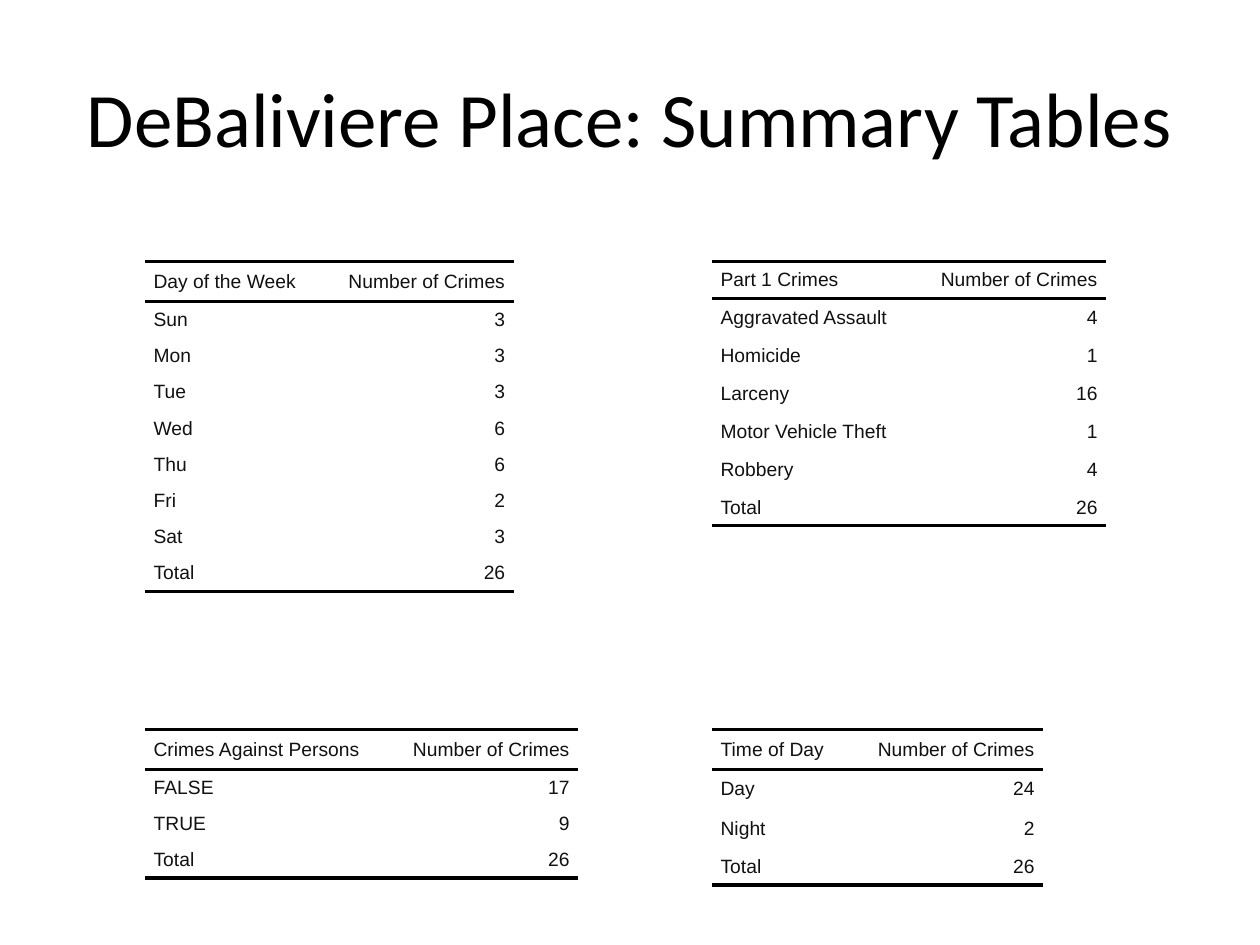
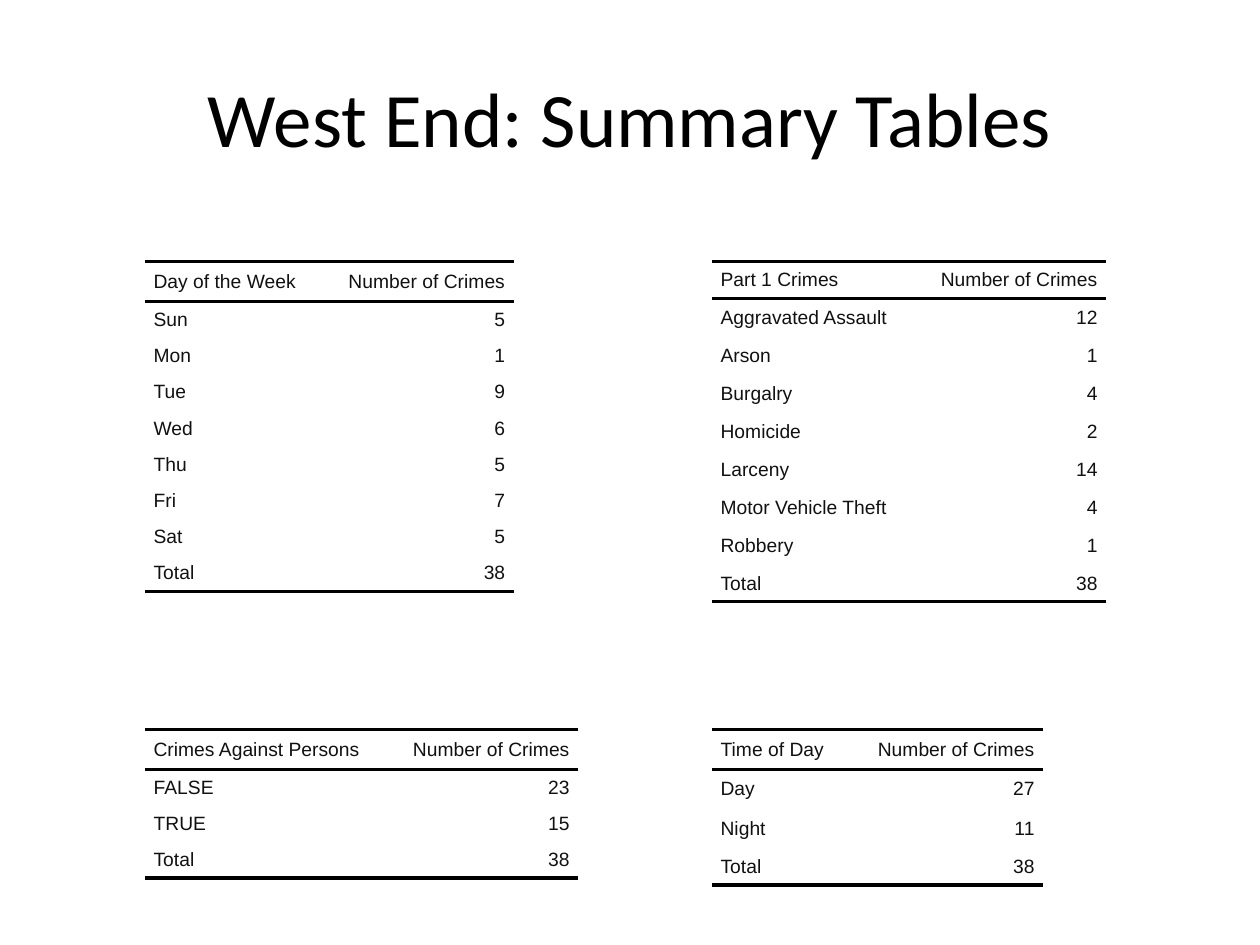
from lxml.etree import SubElement
from pptx import Presentation
from pptx.dml.color import RGBColor
from pptx.enum.text import MSO_ANCHOR, PP_ALIGN
from pptx.oxml.ns import qn
from pptx.util import Cm, Pt

DAYS = ("Sun", "Mon", "Tue", "Wed", "Thu", "Fri", "Sat")
COUNT_HEADING = "Number of Crimes"
SLIDES = [
    {
        "title": "DeBaliviere Place: Summary Tables",
        "Part 1 Crimes": [
            ("Aggravated Assault", 4),
            ("Homicide", 1),
            ("Larceny", 16),
            ("Motor Vehicle Theft", 1),
            ("Robbery", 4),
        ],
        "Day of the Week": list(zip(DAYS, (3, 3, 3, 6, 6, 2, 3))),
        "Crimes Against Persons": [("FALSE", 17), ("TRUE", 9)],
        "Time of Day": [("Day", 24), ("Night", 2)],
    },
    {
        "title": "West End: Summary Tables",
        "Part 1 Crimes": [
            ("Aggravated Assault", 12),
            ("Arson", 1),
            ("Burgalry", 4),
            ("Homicide", 2),
            ("Larceny", 14),
            ("Motor Vehicle Theft", 4),
            ("Robbery", 1),
        ],
        "Day of the Week": list(zip(DAYS, (5, 1, 9, 6, 5, 7, 5))),
        "Crimes Against Persons": [("FALSE", 23), ("TRUE", 15)],
        "Time of Day": [("Day", 27), ("Night", 11)],
    },
]

BLACK, TEXT = "000000", "111111"
LEFT, RIGHT = Cm(2.92), Cm(14.35)
TOP, BOTTOM = Cm(5.28), Cm(14.71)
COUNT_WIDTH = Cm(3.86)
LOW, HIGH = Cm(0.73), Cm(0.8)
NO_STYLE = "{2D5ABB26-0587-4C30-8999-92F81FD0307C}"


def alternating(index, count):
    return HIGH if index % 2 else LOW


def tall_header(index, count):
    return HIGH if index == 0 else LOW


def low_total(index, count):
    return LOW if index == count - 1 else HIGH


TABLES = {
    "Part 1 Crimes": (RIGHT, TOP, Cm(4.09), alternating),
    "Day of the Week": (LEFT, TOP, Cm(3.58), tall_header),
    "Crimes Against Persons": (LEFT, BOTTOM, Cm(4.88), tall_header),
    "Time of Day": (RIGHT, BOTTOM, Cm(2.82), low_total),
}


def color(value):
    return RGBColor.from_string(value)


def format_font(paragraph, name, size, value):
    font = paragraph.runs[0].font
    font.name, font.size = name, Pt(size)
    font.color.rgb = color(value)


def add_title(slide, text):
    shape = slide.shapes.add_textbox(Cm(1.27), Cm(0.76), Cm(22.86), Cm(3.18))
    frame = shape.text_frame
    frame.word_wrap = True
    frame.vertical_anchor = MSO_ANCHOR.MIDDLE
    frame.text = text
    paragraph = frame.paragraphs[0]
    paragraph.alignment = PP_ALIGN.CENTER
    format_font(paragraph, "Calibri", 44, BLACK)


def add_border(cell, side):
    line = SubElement(cell._tc.get_or_add_tcPr(), qn(f"a:{side}"), w=str(Pt(2)))
    fill = SubElement(line, qn("a:solidFill"))
    SubElement(fill, qn("a:srgbClr"), val=BLACK)


def fill_cell(cell, text, alignment, borders):
    cell.margin_left = cell.margin_right = 0
    cell.margin_top = cell.margin_bottom = 0
    cell.vertical_anchor = MSO_ANCHOR.MIDDLE
    for side in borders:
        add_border(cell, side)
    cell.fill.background()
    cell.text_frame.text = str(text)
    paragraph = cell.text_frame.paragraphs[0]
    paragraph.alignment = alignment
    paragraph.space_before = paragraph.space_after = Pt(2)
    properties = paragraph._p.get_or_add_pPr()
    for margin in ("marL", "marR"):
        properties.set(margin, str(Pt(5)))
    format_font(paragraph, "Arial", 11, TEXT)


def add_summary(slide, heading, counts):
    left, top, label_width, row_height = TABLES[heading]
    total = sum(number for _, number in counts)
    rows = [(heading, COUNT_HEADING), *counts, ("Total", total)]
    heights = [row_height(index, len(rows)) for index in range(len(rows))]
    shape = slide.shapes.add_table(
        len(rows), 2, left, top, label_width + COUNT_WIDTH, sum(heights)
    )
    table = shape.table
    table.first_row = table.horz_banding = False
    table._tbl.tblPr.find(qn("a:tableStyleId")).text = NO_STYLE
    table.columns[0].width, table.columns[1].width = label_width, COUNT_WIDTH
    borders = {0: ("lnT", "lnB"), len(rows) - 1: ("lnB",)}
    for index, values in enumerate(rows):
        table.rows[index].height = heights[index]
        for column, alignment in enumerate((PP_ALIGN.LEFT, PP_ALIGN.RIGHT)):
            cell = table.cell(index, column)
            fill_cell(cell, values[column], alignment, borders.get(index, ()))


def main():
    presentation = Presentation()
    presentation.slide_width, presentation.slide_height = Cm(25.4), Cm(19.05)
    for content in SLIDES:
        slide = presentation.slides.add_slide(presentation.slide_layouts[6])
        add_title(slide, content["title"])
        for heading in TABLES:
            add_summary(slide, heading, content[heading])
    presentation.save("out.pptx")


if __name__ == "__main__":
    main()
